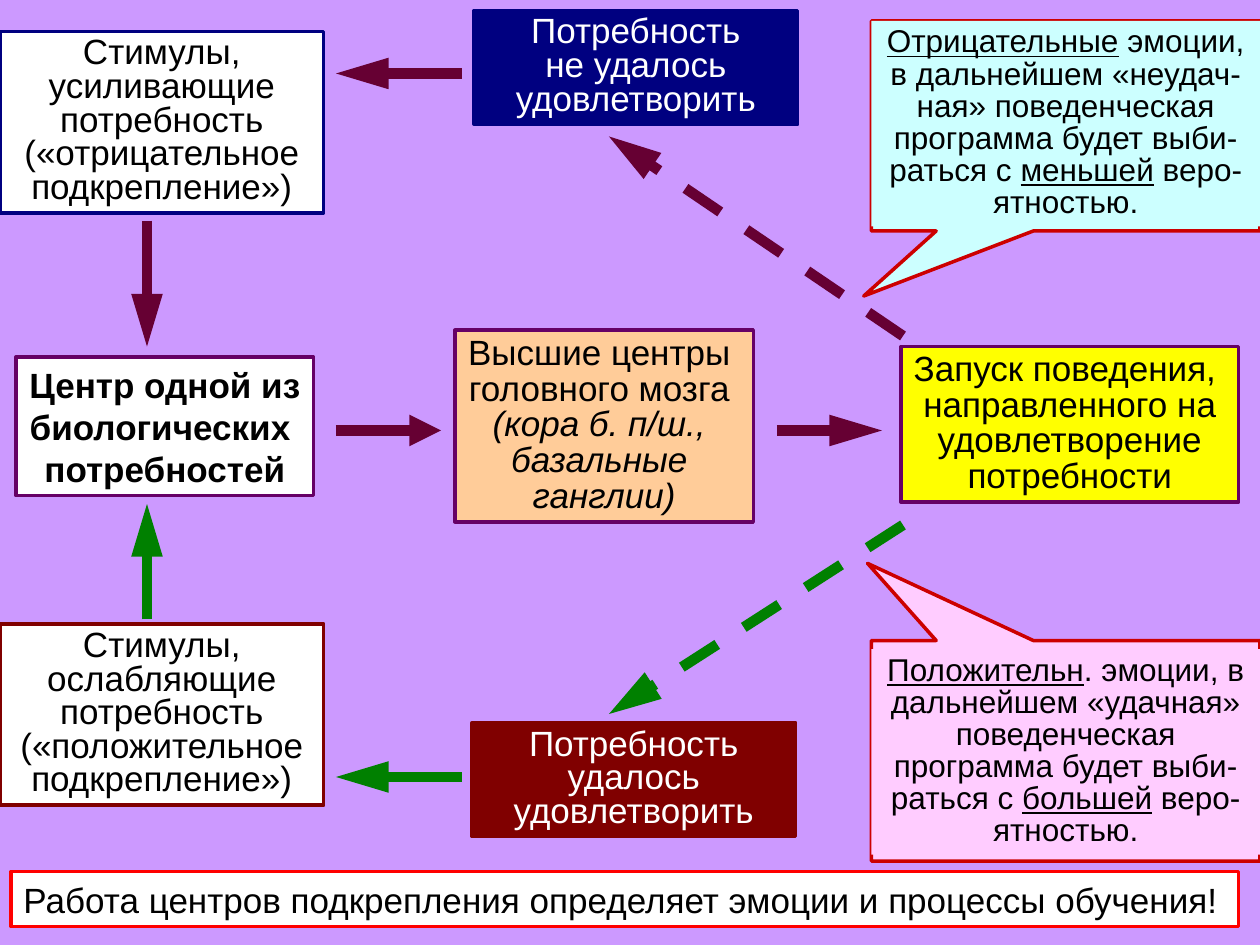
from lxml.etree import SubElement
from pptx import Presentation
from pptx.dml.color import RGBColor
from pptx.enum.dml import MSO_LINE
from pptx.enum.shapes import MSO_CONNECTOR, MSO_SHAPE
from pptx.enum.text import MSO_ANCHOR, PP_ALIGN
from pptx.oxml.ns import qn
from pptx.util import Pt


def rgb(value):
    return RGBColor.from_string(value)


def add_box(text, left, top, width, height, fill, line=None, shape=MSO_SHAPE.RECTANGLE,
            size=20, color="000000", bold=False, mark="underline", spacing=0.8,
            align=PP_ALIGN.CENTER, wrap=True):
    sp = s.shapes.add_shape(shape, Pt(left), Pt(top), Pt(width), Pt(height))
    sp.shadow.inherit = False
    sp.fill.solid()
    sp.fill.fore_color.rgb = rgb(fill)
    if line:
        sp.line.color.rgb = rgb(line)
        sp.line.width = Pt(2)
    else:
        sp.line.fill.background()
    tf = sp.text_frame
    tf.word_wrap = wrap
    tf.vertical_anchor = MSO_ANCHOR.MIDDLE
    for i, row in enumerate(text.split("\n")):
        p = tf.paragraphs[0] if i == 0 else tf.add_paragraph()
        p.alignment = align
        p.line_spacing = spacing
        for j, part in enumerate(row.split("|")):
            if part:
                r = p.add_run()
                r.text = part
                r.font.name = "Arial"
                r.font.size = Pt(size)
                r.font.bold = bold
                r.font.color.rgb = rgb(color)
                if j % 2:
                    setattr(r.font, mark, True)
    return sp


prs = Presentation()
prs.slide_width, prs.slide_height = Pt(720), Pt(540)
s = prs.slides.add_slide(prs.slide_layouts[6])
s.background.fill.solid()
s.background.fill.fore_color.rgb = rgb("CC99FF")

add_box("Высшие центры \nголовного мозга \n|(кора б. п/ш., |\n|базальные |\n|ганглии)|",
        260, 188.7, 170.5, 109.5, "FFCC99", "660066", mark="italic", spacing=0.85, wrap=False)
add_box("Запуск поведения, \nнаправленного на удовлетворение\nпотребности",
        514.8, 198, 193, 89, "FFFF00", "660066", spacing=0.85)
add_box("Центр одной из\nбиологических \nпотребностей",
        9.2, 204, 170, 79.3, "FFFFFF", "660066", bold=True, spacing=1, wrap=False)

for top, line, verb, kind in [(18, "000080", "усиливающие", "отрицательное"),
                              (356.5, "800000", "ослабляющие", "положительное")]:
    add_box(f"Стимулы, {verb} потребность\n(«{kind} подкрепление»)",
            0, top, 185, 103.7, "FFFFFF", line)

for left, top, fill, result in [(270.9, 6, "000080", "не удалось"),
                                (269.7, 413, "800000", "удалось")]:
    add_box(f"Потребность\n{result} удовлетворить", left, top, 185, 65, fill, fill, color="FFFFFF")

for x1, y1, x2, y2, color, dashed, length in [
    (192, 246, 252, 246, "660033", False, "med"),
    (444, 246, 504, 246, "660033", False, "lg"),
    (84, 126, 84, 198, "660033", False, "lg"),
    (84, 354, 84, 288, "008000", False, "lg"),
    (516, 300, 348, 408, "008000", True, "lg"),
    (264, 444, 192, 444, "008000", False, "lg"),
    (516, 192, 348, 78, "660033", True, "lg"),
    (264, 42, 192, 42, "660033", False, "lg"),
]:
    c = s.shapes.add_connector(MSO_CONNECTOR.STRAIGHT, Pt(x1), Pt(y1), Pt(x2), Pt(y2))
    c.line.color.rgb = rgb(color)
    c.line.width = Pt(6)
    if dashed:
        c.line.dash_style = MSO_LINE.DASH
    spPr = c._element.spPr
    SubElement(spPr.find(qn("a:ln")), qn("a:tailEnd"), type="triangle", w="med", len=length)
    SubElement(spPr, qn("a:effectLst"))

for top, height, text_top, fill, tip, start, chance in [
    (12, 120, 12, "CCFFFF", (-0.52, 0.81),
     "|Отрицательные| эмоции, в дальнейшем «неудач-ная»", "меньшей"),
    (366, 126, 371, "FFCCFF", (-0.51, -0.85),
     "|Положительн|. эмоции, в дальнейшем «удачная»", "большей"),
]:
    sp = add_box("", 498, top, 222, height, fill, "CC0000", MSO_SHAPE.RECTANGULAR_CALLOUT)
    sp.adjustments[0], sp.adjustments[1] = tip
    add_box(f"{start} поведенческая\nпрограмма будет выби-раться с |{chance}| веро-\nятностью.",
            498, text_top, 222, 117.4, fill, size=18, spacing=0.85)

add_box("Работа центров подкрепления определяет эмоции и процессы обучения!",
        6.3, 498, 701.5, 31.5, "FFFFFF", "FF0000", spacing=1, align=PP_ALIGN.LEFT, wrap=False)

prs.save("out.pptx")
